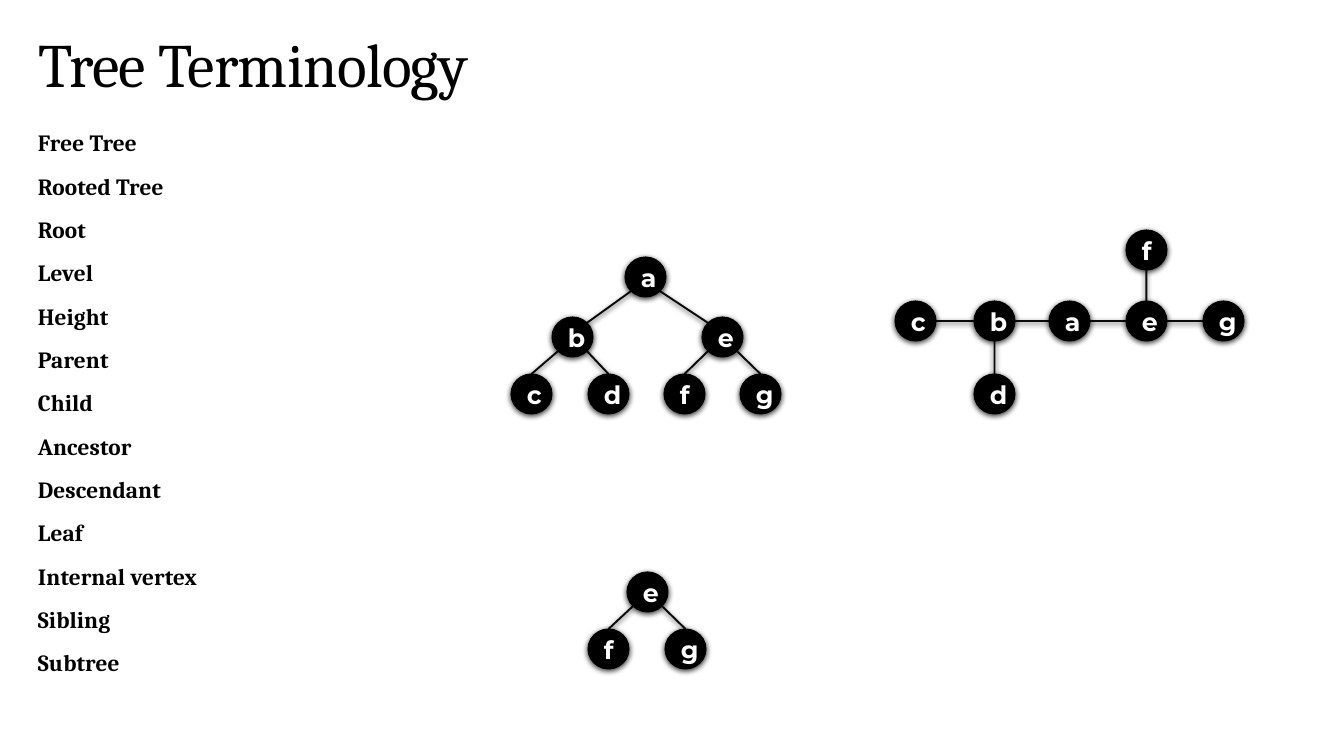
from lxml import etree
from pptx import Presentation
from pptx.dml.color import RGBColor
from pptx.enum.shapes import MSO_CONNECTOR, MSO_SHAPE
from pptx.enum.text import MSO_ANCHOR, PP_ALIGN
from pptx.oxml import parse_xml
from pptx.util import Emu, Pt

OVAL = MSO_SHAPE.OVAL
STRAIGHT = MSO_CONNECTOR.STRAIGHT
MIDDLE, BOTTOM = MSO_ANCHOR.MIDDLE, MSO_ANCHOR.BOTTOM
LEFT, CENTER = PP_ALIGN.LEFT, PP_ALIGN.CENTER
BLACK = RGBColor(0, 0, 0)
WHITE = RGBColor(255, 255, 255)
DRAWING = "http://schemas.openxmlformats.org/drawingml/2006/main"
SHADOW = (
    f'<a:effectLst xmlns:a="{DRAWING}">'
    '<a:outerShdw blurRad="50800" dist="15240" dir="5400000" rotWithShape="0">'
    '<a:srgbClr val="000000"><a:alpha val="75000"/></a:srgbClr>'
    '</a:outerShdw></a:effectLst>'
)
SCALE = 12192000 / 1344
NODE_W, NODE_H = 41, 40
DIAGONAL = 0.707
SITES = {
    "N": (0, -1), "S": (0, 1), "W": (-1, 0), "E": (1, 0),
    "NW": (-DIAGONAL, -DIAGONAL), "NE": (DIAGONAL, -DIAGONAL),
    "SW": (-DIAGONAL, DIAGONAL), "SE": (DIAGONAL, DIAGONAL),
}
TITLE_FONT = {"name": "Cambria", "size": Pt(44), "bold": False}
TERM_FONT = {"name": "Cambria", "size": Pt(16.6), "bold": True}
NODE_FONT = {"name": "Montserrat", "size": Pt(18), "bold": True}

TERMS = [
    "Free Tree", "Rooted Tree", "Root", "Level", "Height", "Parent", "Child",
    "Ancestor", "Descendant", "Leaf", "Internal vertex", "Sibling", "Subtree",
]
TREES = [
    (
        {"a": (1049, 301), "d": (974, 374), "c": (895, 301), "b": (974, 301),
         "e": (1126, 301), "g": (1203, 301), "f": (1126, 230)},
        ["a W b E", "a E e W", "b W c E", "d N b S", "e N f S", "e E g W"],
    ),
    (
        {"a": (625, 257), "d": (588, 374), "c": (511, 374), "b": (552, 317),
         "e": (702, 317), "g": (740, 374), "f": (664, 374)},
        ["a SW b NE", "a SE e NW", "b SW c N", "d N b SE", "e SW f N", "e SE g N"],
    ),
    (
        {"e": (627, 572), "g": (665, 629), "f": (588, 629)},
        ["e SW f N", "e SE g N"],
    ),
]


def px(*lengths):
    return [Emu(round(length * SCALE)) for length in lengths]


def write(paragraph, text, font, color, align, spacing=0):
    run = paragraph.add_run()
    run.text = text
    paragraph.alignment = align
    for key, value in font.items():
        setattr(run.font, key, value)
    run.font.color.rgb = color
    if spacing:
        run.font._element.set("spc", str(spacing))


prs = Presentation()
prs.slide_width, prs.slide_height = px(1344, 756)
slide = prs.slides.add_slide(prs.slide_layouts[5])

title = slide.shapes.title
title.left, title.top, title.width, title.height = px(28, 25, 1285, 81)
title.text_frame.vertical_anchor = BOTTOM
heading = title.text_frame.paragraphs[0]
heading.line_spacing = 0.9
write(heading, "Tree Terminology", TITLE_FONT, BLACK, LEFT, -50)

glossary = slide.shapes.add_textbox(*px(28, 130, 1285, 560)).text_frame
glossary.word_wrap = True
for index, term in enumerate(TERMS):
    entry = glossary.add_paragraph() if index else glossary.paragraphs[0]
    entry.line_spacing = 0.75
    entry.space_before = Pt(14 if index else 0)
    entry.space_after = Pt(2)
    write(entry, term, TERM_FONT, BLACK, LEFT, 10)

for nodes, edges in TREES:
    tree = slide.shapes.add_group_shape().shapes
    for letter, (left, top) in nodes.items():
        node = tree.add_shape(OVAL, *px(left, top, NODE_W, NODE_H))
        node.fill.solid()
        node.fill.fore_color.rgb = BLACK
        node.line.color.rgb = BLACK
        node.line.width = Pt(0.75)
        node._element.spPr.append(parse_xml(SHADOW))
        node.text_frame.word_wrap = True
        node.text_frame.vertical_anchor = MIDDLE
        write(node.text_frame.paragraphs[0], letter, NODE_FONT, WHITE, CENTER)
    for edge in edges:
        start, start_site, end, end_site = edge.split()
        ends = []
        for letter, site in ((start, start_site), (end, end_site)):
            left, top = nodes[letter]
            across, down = SITES[site]
            ends += [left + NODE_W / 2 * (1 + across), top + NODE_H / 2 * (1 + down)]
        branch = tree.add_connector(STRAIGHT, *px(*ends))
        branch.line.color.rgb = BLACK
        branch.line.width = Pt(1.35)
        ink = branch._element.spPr.find(f".//{{{DRAWING}}}srgbClr")
        etree.SubElement(ink, f"{{{DRAWING}}}alpha", val="95000")
        branch._element.spPr.append(parse_xml(SHADOW))

prs.save("out.pptx")
